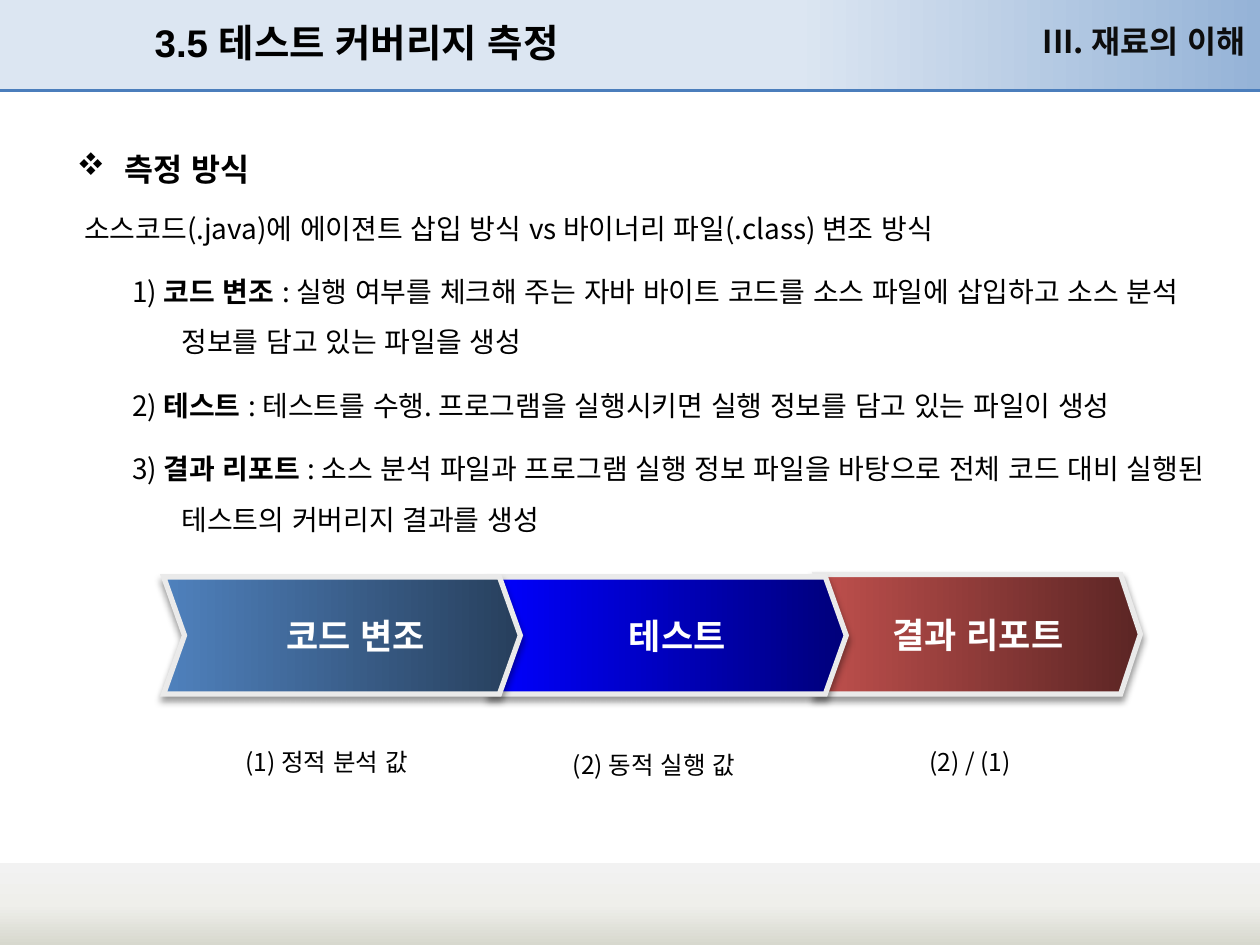
import pptx
import pptx.util
import pptx.dml.color
import pptx.enum.lang
import pptx.enum.shapes
import pptx.enum.text
import pptx.oxml
import pptx.oxml.ns
import lxml.etree

Cm, Pt = pptx.util.Cm, pptx.util.Pt
RGBColor = pptx.dml.color.RGBColor
SHAPE = pptx.enum.shapes.MSO_SHAPE
ALIGN = pptx.enum.text.PP_ALIGN
ANCHOR = pptx.enum.text.MSO_ANCHOR
qn = pptx.oxml.ns.qn

SLIDE_W, SLIDE_H = 25.4, 19.05
SANS, KOREAN = "Arial", "Noto Sans CJK KR"

BLACK = RGBColor(0x00, 0x00, 0x00)
CHAPTER_INK = RGBColor(0x0D, 0x0D, 0x0D)
WHITE = RGBColor(0xFF, 0xFF, 0xFF)
RULE_BLUE = RGBColor(0x4B, 0x7E, 0xBC)
EDGE_GRAY = RGBColor(0xEA, 0xEA, 0xEA)
HEADER_PALE = RGBColor(0xDC, 0xE6, 0xF2)
HEADER_DEEP = RGBColor(0x95, 0xB3, 0xD7)
FOOTER_TOP = RGBColor(0xF2, 0xF2, 0xF2)
FOOTER_MIDDLE = RGBColor(0xEF, 0xEF, 0xEB)
FOOTER_BOTTOM = RGBColor(0xD7, 0xD8, 0xCE)
STEEL, STEEL_DARK = RGBColor(0x4F, 0x81, 0xBD), RGBColor(0x27, 0x3F, 0x5C)
BLUE, BLUE_DARK = RGBColor(0x00, 0x00, 0xFF), RGBColor(0x00, 0x00, 0x7A)
RED, RED_DARK = RGBColor(0xC0, 0x50, 0x4D), RGBColor(0x5B, 0x25, 0x24)

HEADING = "측정 방식"
SUMMARY = "소스코드(.java)에 에이젼트 삽입 방식 vs 바이너리 파일(.class) 변조 방식"
STEPS = [
    ("1) ", "코드 변조 ", ": 실행 여부를 체크해 주는 자바 바이트 코드를 소스 파일에 "
     "삽입하고 소스 분석 정보를 담고 있는 파일을 생성"),
    ("2) ", "테스트", " : 테스트를 수행. 프로그램을 실행시키면 실행 정보를 담고 있는 "
     "파일이 생성"),
    ("3) ", "결과 리포트", " : 소스 분석 파일과 프로그램 실행 정보 파일을 바탕으로 "
     "전체 코드 대비 실행된 테스트의 커버리지 결과를 생성"),
]
# label, font, width, top offset, adjustment, text shift, start and end colour
CHEVRONS = [
    ("코드 변조", KOREAN, 7.19, 0.05, 0.178, 0.56, STEEL, STEEL_DARK),
    ("테스트", SANS, 7.19, 0.05, 0.178, 0.38, BLUE, BLUE_DARK),
    ("결과 리포트", SANS, 6.55, 0, 0.165, 0, RED, RED_DARK),
]
# text, left and top offset, width
CAPTIONS = [
    ("(1) 정적 분석 값", 1.4, 0, 4.11),
    ("(2) 동적 실행 값", 8, 0.06, 4.11),
    ("(2) / (1)", 15.19, 0, 2.21),
]


def format_run(run, size, color, bold=False, font=KOREAN):
    run.font.size = Pt(size)
    run.font.bold = bold
    run.font.name = font
    run.font.color.rgb = color
    run.font.language_id = pptx.enum.lang.MSO_LANGUAGE_ID.KOREAN
    east_asian = lxml.etree.SubElement(run._r.get_or_add_rPr(), qn("a:ea"))
    east_asian.set("typeface", KOREAN)


def add_text(slide, left, top, width, height):
    box = slide.shapes.add_textbox(Cm(left), Cm(top), Cm(width), Cm(height))
    box.text_frame.word_wrap = True
    return box.text_frame


def set_gradient(shape, stops, angle=0):
    shape.fill.gradient()
    shape.fill.gradient_angle = angle
    stop_list = shape._element.spPr.find(qn("a:gradFill")).find(qn("a:gsLst"))
    for old_stop in list(stop_list):
        stop_list.remove(old_stop)
    for percent, color in stops:
        stop = lxml.etree.SubElement(stop_list, qn("a:gs"), pos=str(percent * 1000))
        lxml.etree.SubElement(stop, qn("a:srgbClr"), val=str(color))


def add_band(slide, left, top, width, height, stops, angle=0):
    band = slide.shapes.add_shape(SHAPE.RECTANGLE, Cm(left), Cm(top), Cm(width), Cm(height))
    band.shadow.inherit = False
    band.line.fill.background()
    set_gradient(band, stops, angle)


def add_header(slide, left, top, width, height):
    add_band(slide, left, top, width, height,
             [(0, HEADER_PALE), (63, HEADER_PALE), (100, HEADER_DEEP)])
    bottom = Cm(top + height)
    rule = slide.shapes.add_connector(pptx.enum.shapes.MSO_CONNECTOR.STRAIGHT,
                                      Cm(left), bottom, Cm(left + width), bottom)
    rule.line.color.rgb = RULE_BLUE
    rule.line.width = Pt(2)
    lxml.etree.SubElement(rule._element.spPr, qn("a:effectLst"))

    # Section title
    title = add_text(slide, left + 2.87, top + 0.15, 15.01, 1.45)
    title.vertical_anchor = ANCHOR.MIDDLE
    title.text = "3.5 테스트 커버리지 측정"
    format_run(title.paragraphs[0].runs[0], 22, BLACK, True, SANS)

    # Chapter name
    chapter = add_text(slide, left + 17.3, top + 0.33, 7.8, 0.99)
    chapter.margin_left = chapter.margin_right = 0
    chapter.text = "III. 재료의 이해"
    chapter.paragraphs[0].alignment = ALIGN.RIGHT
    format_run(chapter.paragraphs[0].runs[0], 18, CHAPTER_INK, True)


def indent(paragraph, margin, hanging=0):
    properties = paragraph._p.get_or_add_pPr()
    properties.set("marL", str(Cm(margin)))
    properties.set("indent", str(-Cm(hanging)))
    paragraph.line_spacing = 1.5
    return properties


def add_explanation(slide, left, top, width, height):
    frame = add_text(slide, left, top, width, height)

    # Bulleted heading; "v" is the four-diamond sign in Wingdings
    heading = frame.paragraphs[0]
    heading.text = HEADING
    properties = indent(heading, 0.97, 0.97)
    lxml.etree.SubElement(properties, qn("a:buFont"), typeface="Wingdings", charset="2")
    lxml.etree.SubElement(properties, qn("a:buChar"), char="v")
    format_run(heading.runs[0], 18, BLACK, True)

    summary = frame.add_paragraph()
    summary.text = SUMMARY
    indent(summary, 0.15)
    summary.space_before = Pt(4)
    format_run(summary.runs[0], 16, BLACK)

    # Numbered steps with a bold term
    for number, term, detail in STEPS:
        step = frame.add_paragraph()
        indent(step, 2.11, 0.99)
        step.space_before = Pt(7.5)
        for text in (number, term, detail):
            run = step.add_run()
            run.text = text
            format_run(run, 16, BLACK, text == term)


def add_edge_and_shadow(chevron):
    chevron.line.color.rgb = EDGE_GRAY
    chevron.line.width = Pt(3)
    properties = chevron._element.spPr
    lxml.etree.SubElement(properties.find(qn("a:ln")), qn("a:miter"), lim="800000")
    chevron.shadow.inherit = False
    shadow = lxml.etree.SubElement(
        properties.find(qn("a:effectLst")), qn("a:outerShdw"), blurRad=str(Pt(4)),
        dist=str(Pt(3)), dir="5400000", rotWithShape="0")
    shade = lxml.etree.SubElement(shadow, qn("a:srgbClr"), val=str(BLACK))
    lxml.etree.SubElement(shade, qn("a:alpha"), val="40000")


def add_process(slide, left, top, height, pitch):
    # The first chevron lies in front, so the last is drawn first
    for index, step in reversed(list(enumerate(CHEVRONS))):
        label, font, width, drop, adjustment, shift, start, end = step
        chevron = slide.shapes.add_shape(
            SHAPE.CHEVRON, Cm(left + index * pitch), Cm(top + drop),
            Cm(width), Cm(height - drop))
        chevron.adjustments[0] = adjustment
        set_gradient(chevron, [(0, start), (100, end)])
        add_edge_and_shadow(chevron)
        frame = chevron.text_frame
        frame.vertical_anchor = ANCHOR.MIDDLE
        frame.margin_left = Cm(0.25 + shift)
        frame.text = label
        frame.paragraphs[0].alignment = ALIGN.CENTER
        format_run(frame.paragraphs[0].runs[0], 20, WHITE, True, font)

    # Value measured in each step
    for text, offset, drop, width in CAPTIONS:
        caption = add_text(slide, left + offset, top + 3.36 + drop, width, 0.86)
        caption.word_wrap = False
        caption.auto_size = pptx.enum.text.MSO_AUTO_SIZE.SHAPE_TO_FIT_TEXT
        caption.text = text
        format_run(caption.paragraphs[0].runs[0], 14, BLACK)


def main():
    deck = pptx.Presentation()
    deck.slide_width, deck.slide_height = Cm(SLIDE_W), Cm(SLIDE_H)
    slide = deck.slides.add_slide(deck.slide_layouts[6])
    add_header(slide, 0, -0.02, SLIDE_W, 1.84)
    add_band(slide, 0, 17.4, SLIDE_W, SLIDE_H - 17.4,
             [(0, FOOTER_TOP), (50, FOOTER_MIDDLE), (100, FOOTER_BOTTOM)], 270)
    add_explanation(slide, 1.3, 2.51, 23.39, 9.19)
    add_process(slide, 3.3, 11.58, 2.41, 6.57)
    deck.save("out.pptx")


if __name__ == "__main__":
    main()
